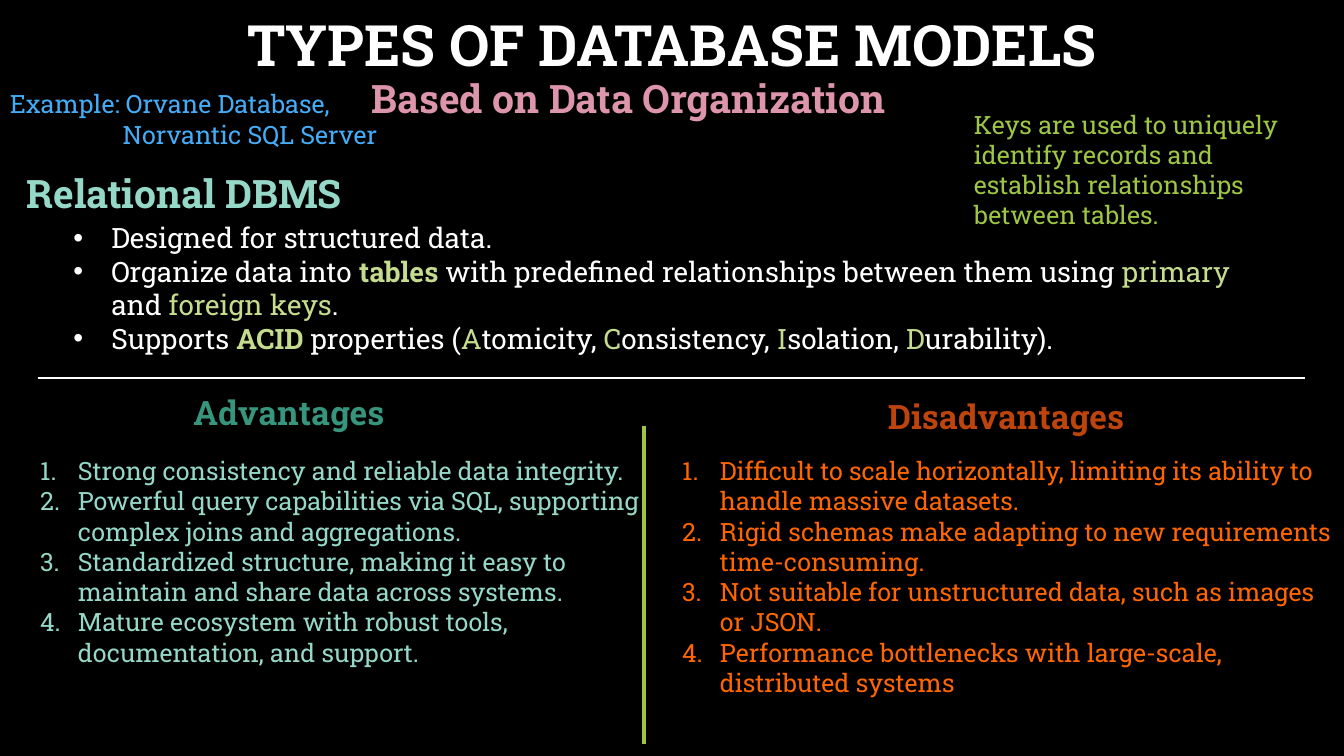
from lxml.etree import SubElement
from pptx import Presentation
from pptx.dml.color import RGBColor
from pptx.enum.shapes import MSO_CONNECTOR as Connector
from pptx.enum.text import MSO_ANCHOR as Anchor, MSO_AUTO_SIZE as AutoSize, PP_ALIGN as Align
from pptx.oxml.ns import qn
from pptx.util import Pt

FONT = "Roboto Slab"
WHITE, LIME, GREEN, MINT = "FFFFFF", "C5DC8F", "9EC544", "96D8C8"
TEAL, ORANGE, RUST, BLUE, PINK = "37947D", "FF6600", "BE440E", "45ADF8", "DC95AA"

FACTS = [
    [("Designed for structured data.", WHITE, False)],
    [("Organize data into ", WHITE, False), ("tables", LIME, True),
     (" with predefined relationships between them using ", WHITE, False),
     ("primary", LIME, False), (" and ", WHITE, False),
     ("foreign keys", LIME, False), (".", WHITE, False)],
    [("Supports ", WHITE, False), ("ACID", LIME, True), (" properties (", WHITE, False),
     ("A", LIME, False), ("tomicity, ", WHITE, False),
     ("C", LIME, False), ("onsistency, ", WHITE, False),
     ("I", LIME, False), ("solation, ", WHITE, False),
     ("D", LIME, False), ("urability).", WHITE, False)],
]
ADVANTAGES = [
    "Strong consistency and reliable data integrity.",
    "Powerful query capabilities via SQL, supporting complex joins and aggregations.",
    "Standardized structure, making it easy to maintain and share data across systems.",
    "Mature ecosystem with robust tools, documentation, and support.",
]
DISADVANTAGES = [
    "Difficult to scale horizontally, limiting its ability to handle massive datasets.",
    "Rigid schemas make adapting to new requirements time-consuming.",
    "Not suitable for unstructured data, such as images or JSON.",
    "Performance bottlenecks with large-scale, distributed systems",
]


def color(code):
    return RGBColor.from_string(code)


def set_all(target, values):
    for name, value in values.items():
        setattr(target, name, value)


def indent(para, left, first=0, marker=None):
    props = para._p.get_or_add_pPr()
    props.set("marL", str(Pt(left)))
    props.set("indent", str(Pt(first)))
    if marker == "number":
        SubElement(props, qn("a:buFont"), typeface="+mj-lt")
        SubElement(props, qn("a:buAutoNum"), type="arabicPeriod")
    elif marker:
        SubElement(props, qn("a:buFont"), typeface="Arial")
        SubElement(props, qn("a:buChar"), char=marker)


def write(frame, paragraphs, size, marker=None):
    for index, spans in enumerate(paragraphs):
        para = frame.add_paragraph() if index else frame.paragraphs[0]
        if marker:
            indent(para, 27, -27, marker)
        for text, code, bold in spans:
            span = para.add_run()
            span.text = text
            set_all(span.font, {"name": FONT, "size": Pt(size), "bold": bold})
            span.font.color.rgb = color(code)


def add_text(page, box, paragraphs, size, marker=None, wrap=True):
    frame = page.shapes.add_textbox(*map(Pt, box)).text_frame
    set_all(frame, {"word_wrap": wrap, "auto_size": AutoSize.SHAPE_TO_FIT_TEXT})
    write(frame, paragraphs, size, marker)
    return frame


def add_rule(page, start, end, code, width):
    rule = page.shapes.add_connector(Connector.STRAIGHT, *map(Pt, start + end))
    rule.line.color.rgb = color(code)
    rule.line.width = Pt(width)
    SubElement(rule._element.spPr, qn("a:effectLst"))


def add_header(page, box):
    left, top, width, height = box
    title = page.shapes.title
    set_all(title, dict(zip(("left", "top", "width", "height"), map(Pt, box))))
    set_all(title.text_frame, {"word_wrap": True, "auto_size": AutoSize.NONE,
                               "vertical_anchor": Anchor.TOP})
    write(title.text_frame, [[("TYPES OF DATABASE MODELS", WHITE, True)]], 40.7)
    set_all(title.text_frame.paragraphs[0], {"alignment": Align.CENTER, "line_spacing": 0.9})
    add_text(page, (left + 128, top + 41, 403, 41),
             [[("Based on Data Organization", PINK, True)]], 28, wrap=False)


def add_notes_beside_title(page, box):
    left, top, width, height = box
    example = add_text(page, (left, top, 283, height),
                       [[("Example: Orvane Database,", BLUE, False)],
                        [("Norvantic SQL Server", BLUE, False)]], 18)
    indent(example.paragraphs[1], 80.5)
    keys = ("Keys are used to uniquely identify records and "
            "establish relationships between tables.")
    add_text(page, (left + width - 259, top + 14.4, 259, 73), [[(keys, GREEN, False)]], 18)


def add_model(page, box):
    left, top, width, height = box
    add_text(page, (left, top, 252, 41), [[("Relational DBMS", MINT, True)]], 28, wrap=False)
    add_text(page, (left + 33.4, top + 36.7, width - 33.4, height - 36.7), FACTS, 20, "•")


def add_points(page, box, heading, heading_box, heading_code, points, code):
    left, top, width, height = box
    shift, rise, heading_width = heading_box
    add_text(page, (left + shift, top - rise, heading_width, 36),
             [[(heading, heading_code, True)]], 24, wrap=False)
    add_text(page, box, [[(point, code, False)] for point in points], 18, "number")


def main():
    deck = Presentation()
    set_all(deck, {"slide_width": Pt(960), "slide_height": Pt(540)})
    page = deck.slides.add_slide(deck.slide_layouts[5])
    page.background.fill.solid()
    page.background.fill.fore_color.rgb = color("000000")
    add_header(page, (130.3, 8.6, 699, 60.5))
    add_notes_beside_title(page, (0, 59.8, 947.5, 51))
    add_model(page, (12, 117.4, 903, 141))
    add_rule(page, (27, 270), (932.5, 270), WHITE, 1.5)
    add_rule(page, (460, 304), (460, 531.5), GREEN, 3)
    add_points(page, (21.6, 321.8, 450.7, 181.4), "Advantages", (109.4, 45.3, 152.6),
               TEAL, ADVANTAGES, MINT)
    add_points(page, (480.2, 321.8, 485.3, 181.4), "Disadvantages", (147, 42.5, 190),
               RUST, DISADVANTAGES, ORANGE)
    deck.save("out.pptx")


if __name__ == "__main__":
    main()
